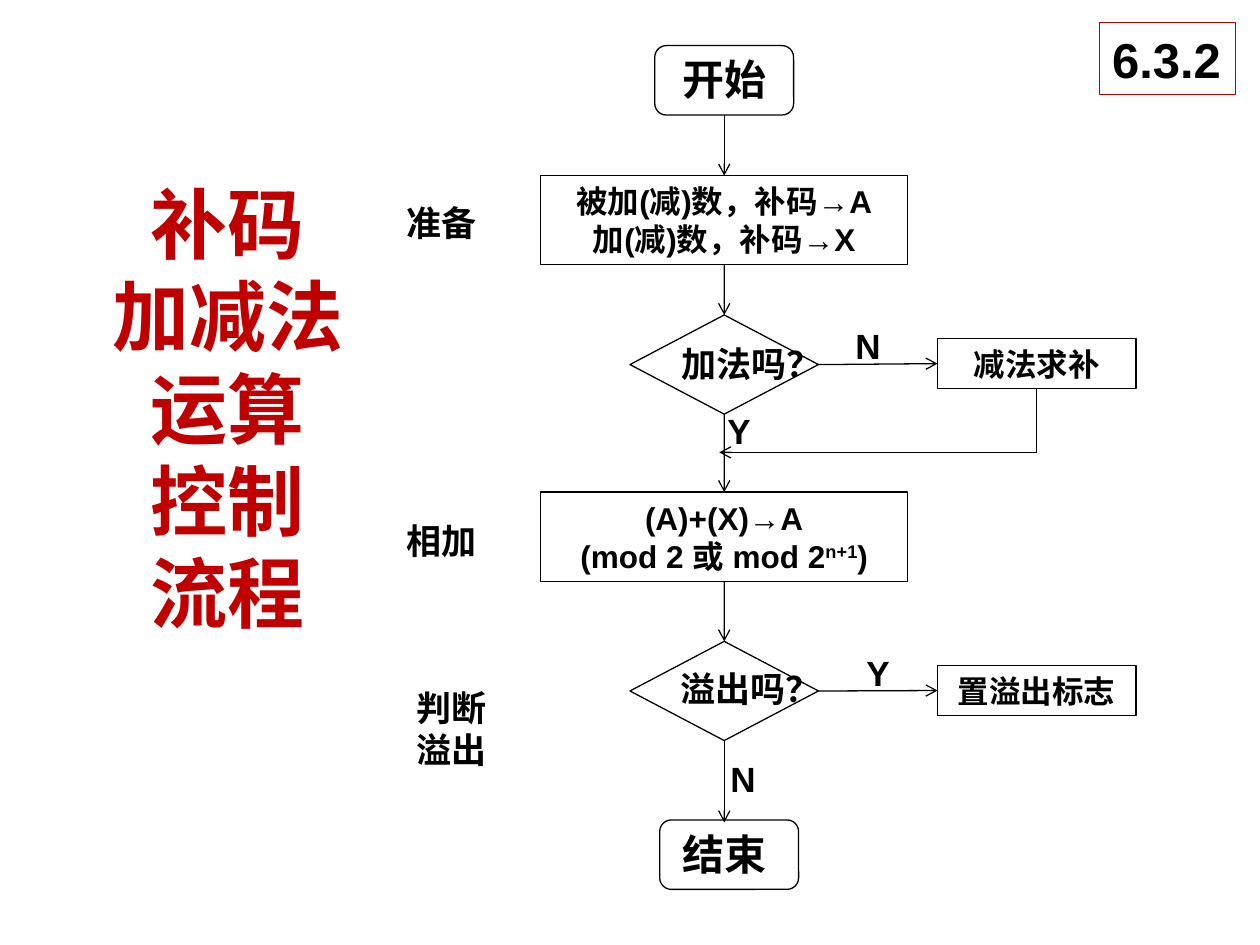
from lxml import etree
from pptx import Presentation
from pptx import util as u
from pptx.dml import color as c
from pptx.enum import shapes, text
from pptx.oxml import ns

BLACK, RED, WHITE = "000000", "C00000", "FFFFFF"
TOP, LEFT, BOTTOM, RIGHT = range(4)


def colour(value):
    return c.RGBColor.from_string(value)


def write(frame, content, size=20, fill=BLACK, font="Arial", align="CENTER",
          anchor="MIDDLE", wrap=True, superscript=None):
    frame.word_wrap = wrap
    frame.vertical_anchor = text.MSO_ANCHOR[anchor]
    for index, line in enumerate(content.split("\n")):
        paragraph = frame.paragraphs[0] if index == 0 else frame.add_paragraph()
        paragraph.alignment = text.PP_ALIGN[align]
        paragraph.line_spacing = u.Pt(size * 1.2)
        parts = line.partition(superscript) if superscript else (line,)
        for part in filter(None, parts):
            run = paragraph.add_run()
            run.text = part
            run.font.name = font
            run.font.size = u.Pt(size)
            run.font.bold = True
            run.font.color.rgb = colour(fill)
            properties = run._r.get_or_add_rPr()
            etree.SubElement(properties, ns.qn("a:ea"), typeface=font)
            if part == superscript:
                properties.set("baseline", "30000")


class FlowChart:
    line_width = u.Pt(0.75)

    def __init__(self, slide):
        self.slide = slide

    def box(self, kind, left, top, width, height, content="", line=BLACK,
            fill=None, **style):
        shape = self.slide.shapes.add_shape(
            shapes.MSO_SHAPE[kind], u.Cm(left), u.Cm(top), u.Cm(width), u.Cm(height))
        shape.shadow.inherit = False
        if fill:
            shape.fill.solid()
            shape.fill.fore_color.rgb = colour(fill)
        else:
            shape.fill.background()
        shape.line.color.rgb = colour(line)
        shape.line.width = self.line_width
        if content:
            write(shape.text_frame, content, **style)
        return shape

    def label(self, left, top, width, height, content, anchor="TOP", **style):
        shape = self.slide.shapes.add_textbox(
            u.Cm(left), u.Cm(top), u.Cm(width), u.Cm(height))
        write(shape.text_frame, content, anchor=anchor, **style)

    def line(self, start=(0, 0), end=(0, 0), source=None, target=None, arrow=True):
        connector = self.slide.shapes.add_connector(
            shapes.MSO_CONNECTOR.STRAIGHT, *map(u.Cm, (*start, *end)))
        if source:
            connector.begin_connect(*source)
        if target:
            connector.end_connect(*target)
        connector.line.color.rgb = colour(BLACK)
        connector.line.width = self.line_width
        if arrow:
            etree.SubElement(connector.line._get_or_add_ln(), ns.qn("a:tailEnd"), type="arrow")
        etree.SubElement(connector._element.spPr, ns.qn("a:effectLst"))


def main():
    presentation = Presentation()
    presentation.slide_width, presentation.slide_height = u.Cm(25.4), u.Cm(19.05)
    chart = FlowChart(presentation.slides.add_slide(presentation.slide_layouts[6]))
    axis = 14.6

    chart.label(1.9, 2.51, 5.38, 11.4, "补码\n加减法运算\n控制\n流程", anchor="MIDDLE",
                size=44, fill=RED, font="Noto Sans CJK SC")
    chart.box("RECTANGLE", 22.17, 0.46, 2.74, 1.45, "6.3.2", line=RED, fill=WHITE,
              size=28, align="LEFT", wrap=False)

    def step(top, content, **style):
        return chart.box("RECTANGLE", axis - 3.7, top, 7.4, 1.8, content, size=18, **style)

    def decision(top):
        return chart.box("FLOWCHART_DECISION", axis - 1.9, top, 3.8, 2)

    def terminal(left, top):
        return chart.box("FLOWCHART_ALTERNATE_PROCESS", left, top, 2.8, 1.4)

    def branch(top, content):
        return chart.box("RECTANGLE", 18.9, top, 4, 1.02, content, size=18)

    start = terminal(axis - 1.4, 0.92)
    overflow = decision(12.93)
    addition = decision(6.35)
    terminal(13.3, 16.53)
    prepare = step(3.54, "被加(减)数，补码→A\n加(减)数，补码→X")
    add = step(9.92, "(A)+(X)→A\n(mod 2 或 mod 2n+1)", superscript="n+1")
    complement = branch(6.82, "减法求补")
    flag = branch(13.41, "置溢出标志")

    for top, content in ((0.96, "开始"), (16.58, "结束")):
        chart.label(13.3, top, 2.6, 1.27, content, size=24)
    for left, top, width, height, content in (
            (13.4, 6.78, 2.8, 1.11, "加法吗？"),
            (13.38, 13.34, 2.8, 1.11, "溢出吗？"),
            (7.5, 3.93, 2.8, 1.11, "准备"),
            (7.5, 10.34, 2.8, 1.11, "相加"),
            (7.9, 13.72, 2.4, 1.95, "判断溢出")):
        chart.label(left, top, width, height, content)

    flow = (start, prepare, addition, add, overflow)
    for source, target in zip(flow, flow[1:]):
        chart.line(source=(source, BOTTOM), target=(target, TOP))
    chart.line(end=(axis, 16.58), source=(overflow, BOTTOM))
    for source, target in ((overflow, flag), (addition, complement)):
        chart.line(source=(source, RIGHT), target=(target, LEFT))
    chart.line((20.9, 9.12), (14.5, 9.12))
    chart.line(end=(20.9, 9.12), source=(complement, BOTTOM), arrow=False)

    for left, top, answer in ((14.3, 8.13, "Y"), (17.1, 13, "Y"),
                              (16.9, 6.42, "N"), (14.38, 15.14, "N")):
        chart.label(left, top, 1.2, 1.11, answer)

    presentation.save("out.pptx")


if __name__ == "__main__":
    main()
